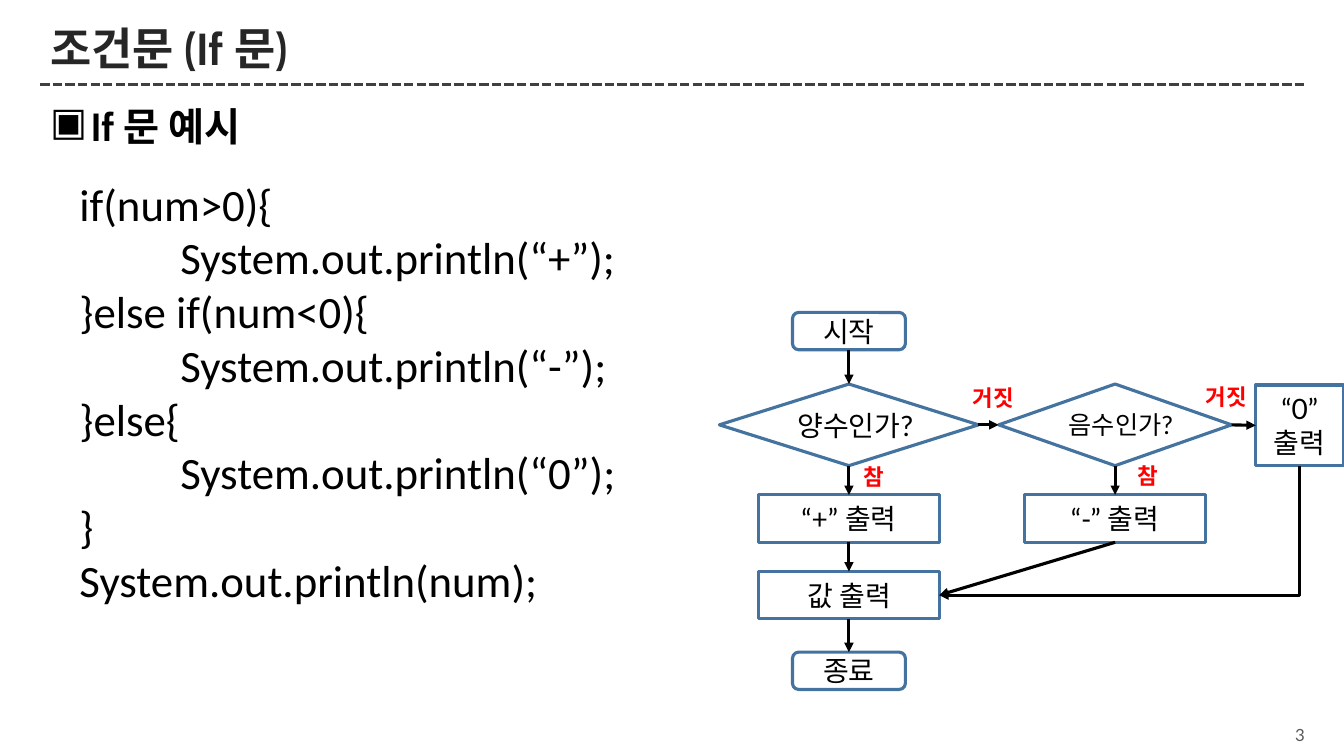
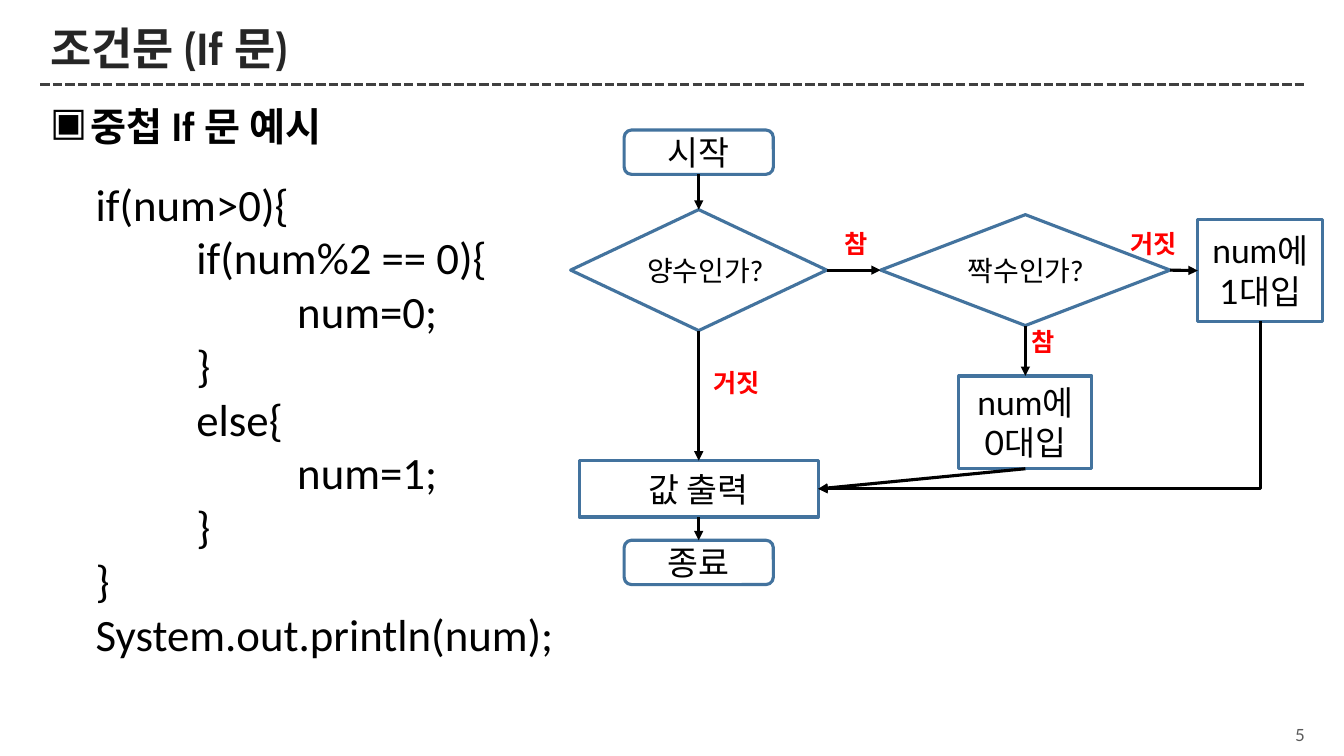
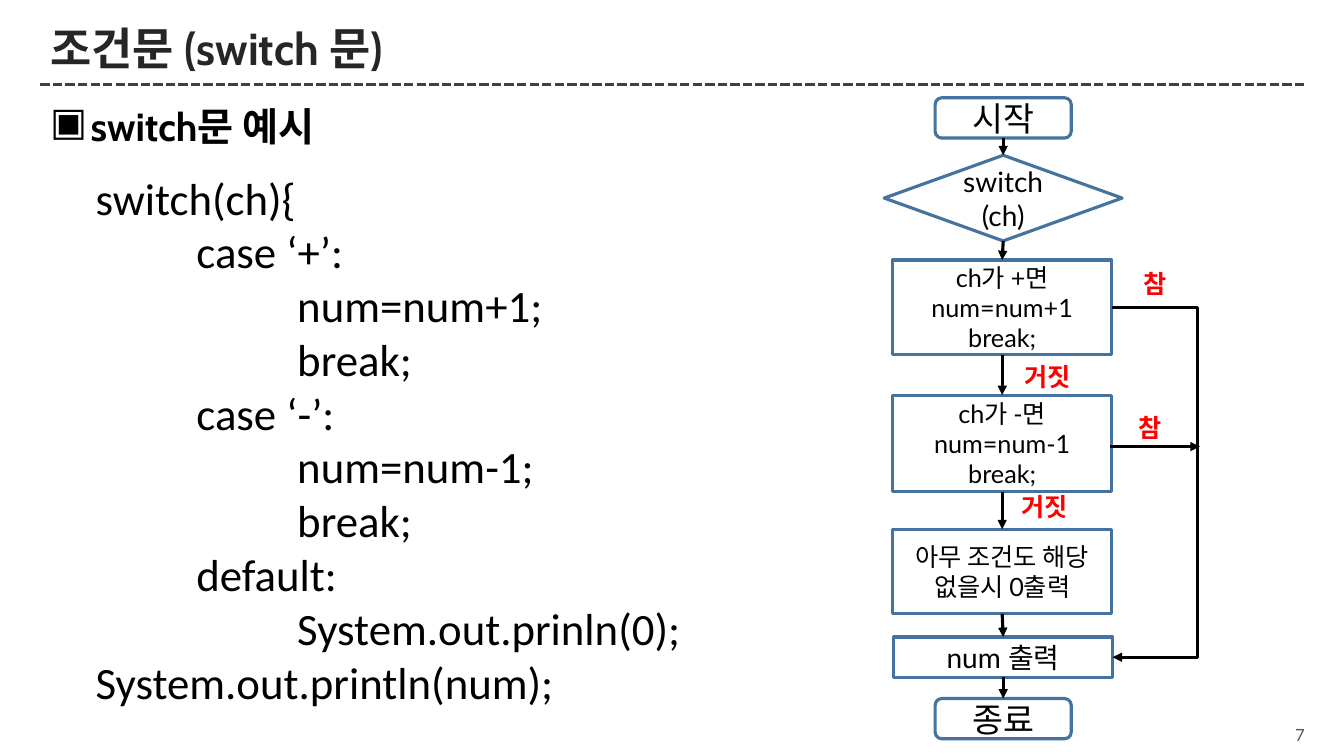
"""Build three slides on conditional statements, each with code and a flowchart."""
from dataclasses import dataclass

from lxml import etree
from pptx import Presentation
from pptx import util as u
from pptx.dml.color import RGBColor
from pptx.enum import dml, shapes, text
from pptx.oxml.ns import qn


@dataclass(frozen=True)
class Theme:
    ink: str = "000000"
    title: str = "262626"
    rule: str = "404040"
    number: str = "595959"
    outline: str = "43739E"
    answer: str = "FF0000"
    heading_font: str = "Cabin"
    flow_font: str = "Lato"
    code_font: str = "Calibri"
    title_size: int = 32
    topic_size: int = 28
    code_size: int = 32
    number_size: int = 12
    stroke: float = 2.25


theme = Theme()
LEFT, CENTER, RIGHT = text.PP_ALIGN.LEFT, text.PP_ALIGN.CENTER, text.PP_ALIGN.RIGHT
TOP, MIDDLE = text.MSO_ANCHOR.TOP, text.MSO_ANCHOR.MIDDLE
ROUND = shapes.MSO_SHAPE.ROUNDED_RECTANGLE
DIAMOND = shapes.MSO_SHAPE.DIAMOND
RECT = shapes.MSO_SHAPE.RECTANGLE
SITES = {"top": 0, "left": 1, "bottom": 2, "right": 3}


def write(box, lines, font, size, color, bold=False, align=LEFT, anchor=TOP):
    """Fill a shape with one paragraph per line and return the paragraphs."""
    frame = box.text_frame
    frame.word_wrap = True
    frame.vertical_anchor = anchor
    for index, line in enumerate(lines):
        para = frame.add_paragraph() if index else frame.paragraphs[0]
        para.alignment = align
        span = para.add_run()
        span.text = line
        span.font.name = font
        span.font.size = u.Pt(size)
        span.font.bold = bold
        span.font.color.rgb = RGBColor.from_string(color)
    return frame.paragraphs


def draw_line(page, kind, start, end, color, arrow=None, dash=None):
    """Add a flat connector between two points given in inches."""
    line = page.shapes.add_connector(kind, *[u.Inches(v) for v in (*start, *end)])
    line.line.width = u.Pt(theme.stroke)
    line.line.color.rgb = RGBColor.from_string(color)
    if dash:
        line.line.dash_style = dash
    properties = line._element.spPr
    if arrow:
        etree.SubElement(properties.find(qn("a:ln")), qn(arrow), type="triangle")
    etree.SubElement(properties, qn("a:effectLst"))
    return line


STRAIGHT, ELBOW = shapes.MSO_CONNECTOR.STRAIGHT, shapes.MSO_CONNECTOR.ELBOW

lessons = [
    {
        "number": "3", "title": "조건문 (If 문)", "topic": "If 문 예시",
        "code_at": (0.69, 1.7, 8.26, 4.41),
        "code": [
            (0, "if(num>0){"), (1, "System.out.println(“+”);"),
            (0, "}else if(num<0){"), (1, "System.out.println(“-”);"),
            (0, "}else{"), (1, "System.out.println(“0”);"),
            (0, "}"), (0, "System.out.println(num);"),
        ],
        "nodes": {
            "start": (ROUND, 8.42, 3.1, 1.12, 0.37, 20, "시작"),
            "positive": (DIAMOND, 8.42, 3.81, 2.57, 0.81, 20, "양수인가?"),
            "plus": (RECT, 8.42, 4.91, 1.79, 0.47, 20, "“+” 출력"),
            "output": (RECT, 8.42, 5.67, 1.79, 0.47, 20, "값 출력"),
            "finish": (ROUND, 8.42, 6.47, 1.12, 0.37, 20, "종료"),
            "negative": (DIAMOND, 11.06, 3.81, 2.31, 0.81, 18, "음수인가?"),
            "zero": (RECT, 12.89, 3.82, 0.87, 0.8, 20, "“0” 출력"),
            "minus": (RECT, 11.06, 4.91, 1.8, 0.47, 20, "“-” 출력"),
        },
        "down": [("start", "positive"), ("positive", "plus"), ("plus", "output"),
                 ("output", "finish"), ("negative", "minus")],
        "across": [("positive", "negative"), ("negative", "zero")],
        "merge": [("minus", "output")],
        "corner": [("zero", "output")],
        "label_size": 16, "label_height": 0.34,
        "labels": [("참", 8.42, 4.55, 0.5), ("거짓", 9.51, 3.76, 0.68),
                   ("거짓", 11.82, 3.75, 0.68), ("참", 11.13, 4.54, 0.5)],
    },
    {
        "number": "5", "title": "조건문 (If 문)", "topic": "중첩 If 문 예시",
        "code_at": (0.85, 1.7, 8.26, 4.95),
        "code": [
            (0, "if(num>0){"), (1, "if(num%2 == 0){"), (2, "num=0;"), (1, "}"),
            (1, "else{"), (2, "num=1;"), (1, "}"), (0, "}"),
            (0, "System.out.println(num);"),
        ],
        "nodes": {
            "start": (ROUND, 6.93, 1.29, 1.48, 0.44, 24, "시작"),
            "positive": (DIAMOND, 6.93, 2.08, 2.54, 1.2, 20, "양수인가?"),
            "output": (RECT, 6.93, 4.57, 2.37, 0.56, 24, "값 출력"),
            "finish": (ROUND, 6.93, 5.36, 1.48, 0.44, 24, "종료"),
            "even": (DIAMOND, 10.17, 2.13, 2.87, 1.1, 20, "짝수인가?"),
            "one": (RECT, 12.5, 2.18, 1.24, 1.01, 24, "num에 1대입"),
            "zero": (RECT, 10.17, 3.73, 1.32, 0.92, 24, "num에 0대입"),
        },
        "down": [("start", "positive"), ("positive", "output"),
                 ("output", "finish"), ("even", "zero")],
        "across": [("positive", "even"), ("even", "one")],
        "merge": [("zero", "output")],
        "corner": [("one", "output")],
        "label_size": 18, "label_height": 0.4,
        "labels": [("참", 8.16, 2.22, 0.66), ("거짓", 6.86, 3.59, 0.9),
                   ("참", 10.02, 3.19, 0.66), ("거짓", 10.99, 2.22, 0.9)],
    },
    {
        "number": "7", "title": "조건문 (switch 문)", "topic": "switch문 예시",
        "code_at": (0.85, 1.64, 8.26, 5.49),
        "code": [
            (0, "switch(ch){"), (1, "case ‘+’:"), (2, "num=num+1;"), (2, "break;"),
            (1, "case ‘-’:"), (2, "num=num-1;"), (2, "break;"), (1, "default:"),
            (2, "System.out.prinln(0);"), (0, "System.out.println(num);"),
        ],
        "nodes": {
            "start": (ROUND, 9.95, 0.97, 1.35, 0.4, 24, "시작"),
            "switch": (DIAMOND, 9.95, 1.54, 2.36, 0.85, 20, "switch\n(ch)"),
            "plus": (RECT, 9.94, 2.58, 2.17, 0.94, 18, "ch가 +면\nnum=num+1\nbreak;"),
            "minus": (RECT, 9.94, 3.92, 2.17, 0.96, 18, "ch가 -면\nnum=num-1\nbreak;"),
            "default": (RECT, 9.94, 5.25, 2.17, 0.84, 18, "아무 조건도 해당 없을시 0출력"),
            "output": (RECT, 9.95, 6.32, 2.17, 0.4, 20, "num 출력"),
            "finish": (ROUND, 9.95, 6.93, 1.35, 0.4, 24, "종료"),
        },
        "down": [("start", "switch"), ("switch", "plus"), ("plus", "minus"),
                 ("minus", "default"), ("default", "output"), ("output", "finish")],
        "lane": ("plus", "output", 11.89),
        "branch": ((11.01, 4.43), (11.9, 4.43)),
        "label_size": 18, "label_height": 0.4,
        "labels": [("거짓", 9.98, 3.54, 0.82), ("참", 11.16, 2.61, 0.6),
                   ("거짓", 9.95, 4.83, 0.82), ("참", 11.11, 4.04, 0.6)],
    },
]

routes = {
    "down": ("bottom", "top"),
    "across": ("right", "left"),
    "merge": ("bottom", "right"),
}

deck = Presentation()
deck.slide_width, deck.slide_height = u.Inches(13.33), u.Inches(7.5)

for lesson in lessons:
    page = deck.slides.add_slide(deck.slide_layouts[6])

    draw_line(page, STRAIGHT, (0.4, 0.84), (12.96, 0.84), theme.rule,
              dash=dml.MSO_LINE.SQUARE_DOT)
    box = page.shapes.add_textbox(*[u.Inches(v) for v in (12.54, 7.13, 0.5, 0.32)])
    write(box, [lesson["number"]], theme.flow_font, theme.number_size, theme.number,
          align=RIGHT, anchor=MIDDLE)
    box = page.shapes.add_textbox(*[u.Inches(v) for v in (0.4, 0.21, 12.56, 0.59)])
    para = write(box, [lesson["title"]], theme.heading_font, theme.title_size,
                 theme.title, bold=True, anchor=MIDDLE)[0]
    para.line_spacing = 0.9

    box = page.shapes.add_textbox(*[u.Inches(v) for v in (0.4, 0.97, 11.74, 6.14)])
    para = write(box, [lesson["topic"]], theme.heading_font, theme.topic_size,
                 theme.ink, bold=True)[0]
    para.space_before = u.Pt(6)
    layout = para._p.get_or_add_pPr()
    layout.set("marL", str(u.Inches(0.4)))
    layout.set("indent", str(u.Inches(-0.4)))
    bullet_color = etree.SubElement(layout, qn("a:buClr"))
    etree.SubElement(bullet_color, qn("a:srgbClr"), val=theme.ink)
    etree.SubElement(layout, qn("a:buChar"), char="▣")

    box = page.shapes.add_textbox(*[u.Inches(v) for v in lesson["code_at"]])
    paras = write(box, [line for _, line in lesson["code"]], theme.code_font,
                  theme.code_size, theme.ink)
    for para, (depth, _) in zip(paras, lesson["code"]):
        para._p.get_or_add_pPr().set("marL", str(u.Inches(depth)))

    nodes = {}
    for name, (preset, middle, top, width, height, size, words) in lesson["nodes"].items():
        node = page.shapes.add_shape(
            preset, *[u.Inches(v) for v in (middle - width / 2, top, width, height)])
        node.shadow.inherit = False
        node.fill.background()
        node.line.color.rgb = RGBColor.from_string(theme.outline)
        node.line.width = u.Pt(theme.stroke)
        write(node, words.split("\n"), theme.flow_font, size, theme.ink,
              align=CENTER, anchor=MIDDLE)
        nodes[name] = node

    for route, (leave, enter) in routes.items():
        for source, target in lesson.get(route, []):
            arrow = draw_line(page, STRAIGHT, (0, 0), (1, 1), theme.ink, "a:tailEnd")
            arrow.begin_connect(nodes[source], SITES[leave])
            arrow.end_connect(nodes[target], SITES[enter])

    for source, target in lesson.get("corner", []):
        arrow = draw_line(page, ELBOW, (0, 0), (1, 1), theme.ink, "a:headEnd")
        arrow.begin_connect(nodes[target], SITES["right"])
        arrow.end_connect(nodes[source], SITES["bottom"])
        arrow._element.spPr.find(qn("a:prstGeom")).set("prst", "bentConnector2")

    if "lane" in lesson:
        source, target, lane = lesson["lane"]
        arrow = draw_line(page, ELBOW, (0, 0), (1, 1), theme.ink, "a:tailEnd")
        arrow.begin_connect(nodes[source], SITES["right"])
        arrow.end_connect(nodes[target], SITES["right"])
        bend = round(100000 * (u.Inches(lane) - arrow.begin_x) / (arrow.end_x - arrow.begin_x))
        guides = arrow._element.spPr.find(qn("a:prstGeom")).get_or_add_avLst()
        etree.SubElement(guides, qn("a:gd"), name="adj1", fmla=f"val {bend}")

    if "branch" in lesson:
        draw_line(page, STRAIGHT, *lesson["branch"], theme.ink, "a:tailEnd")

    for words, left, top, width in lesson["labels"]:
        box = page.shapes.add_textbox(
            *[u.Inches(v) for v in (left, top, width, lesson["label_height"])])
        write(box, [words], theme.flow_font, lesson["label_size"], theme.answer,
              bold=True, align=CENTER)

deck.save("out.pptx")
